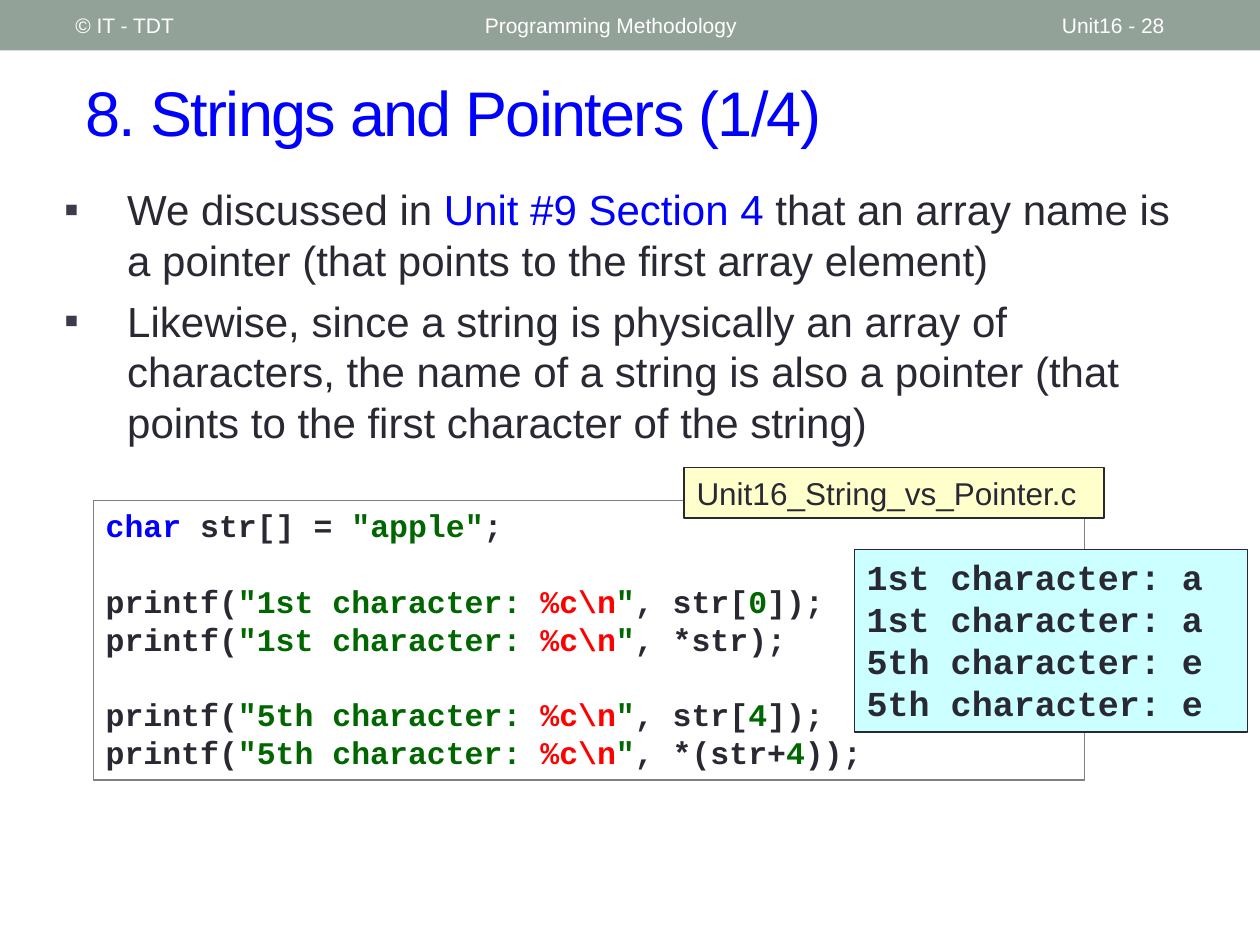
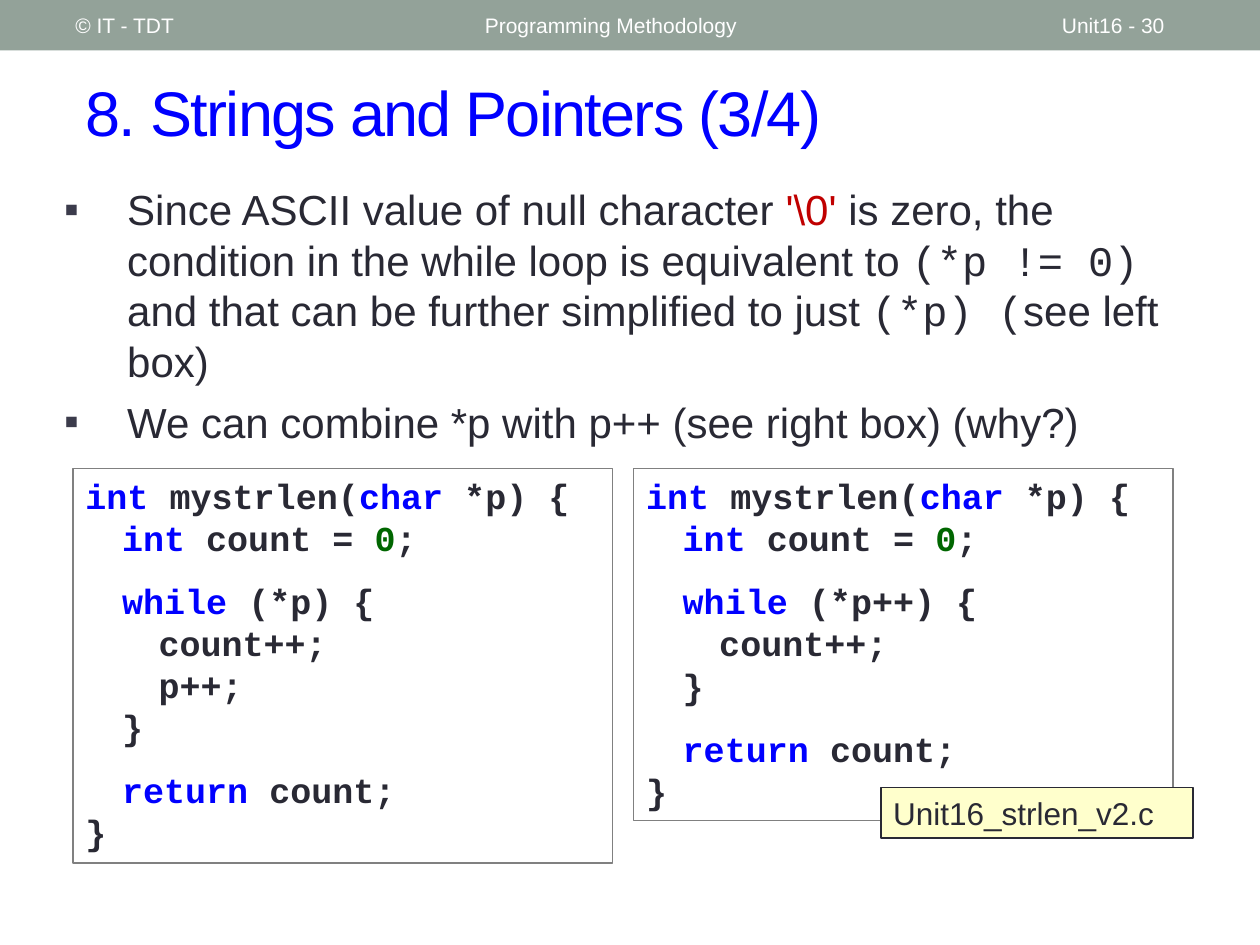
from lxml import etree
from pptx import Presentation
from pptx import util as u
from pptx.dml.color import RGBColor
from pptx.enum import shapes, text
from pptx.oxml.ns import qn

HUES = {
    "ink": "292934", "white": "FFFFFF", "blue": "0000FF", "green": "006600",
    "red": "FF0000", "crimson": "C00000", "band": "93A299", "bullet": "3B3B4B",
    "gray": "808080", "cream": "FFFFCC", "aqua": "CCFFFF",
}
SANS, MONO = "Arial", "Courier New"
WIDE, HIGH = u.Inches(10), u.Inches(7.5)
LEAD = 1.2  # line pitch as a multiple of the text size
TAB = u.Inches(0.29)

HEAD = {"size": 12, "font": SANS, "hue": "white"}
TITLE = {"size": 36, "font": SANS, "hue": "blue"}
BODY = {"size": 24, "font": SANS, "hue": "ink"}
LABEL = {"size": 18, "font": SANS, "hue": "ink"}
CODE = {"size": 18, "font": MONO, "hue": "ink", "bold": True}
BIG = {**CODE, "size": 20}


def rgb(key):
    return RGBColor.from_string(HUES[key])


def area(x, y, w, h):
    """Turn percentages of the slide into a frame."""
    return {
        "left": int(WIDE * x / 100), "top": int(HIGH * y / 100),
        "width": int(WIDE * w / 100), "height": int(HIGH * h / 100),
    }


def apply(obj, vals):
    for name, val in vals.items():
        setattr(obj, name, val)


def add_run(para, part, style):
    """Add plain text, or a (text, changes to the style) pair."""
    words, diff = (part, {}) if isinstance(part, str) else part
    look = {**style, **diff}
    run = para.add_run()
    run.text = words
    apply(run.font, {"size": u.Pt(look["size"]), "name": look["font"],
                     "bold": look.get("bold", False)})
    run.font.color.rgb = rgb(look["hue"])
    return run


def add_para(frame, first, parts, style):
    para = frame.paragraphs[0] if first else frame.add_paragraph()
    apply(para, {"alignment": text.PP_ALIGN.LEFT, "space_before": u.Pt(0),
                 "line_spacing": u.Pt(round(LEAD * style["size"], 1))})
    for part in parts:
        add_run(para, part, style)
    return para


def set_frame(frame, anchor):
    apply(frame, {"word_wrap": True, "vertical_anchor": anchor,
                  "auto_size": text.MSO_AUTO_SIZE.NONE})


def add_box(slide, spot, fill=None, line=None, weight=0.75):
    box = slide.shapes.add_shape(shapes.MSO_SHAPE.RECTANGLE, **area(*spot))
    box.shadow.inherit = False
    if fill:
        box.fill.solid()
        box.fill.fore_color.rgb = rgb(fill)
    else:
        box.fill.background()
    if line:
        box.line.color.rgb = rgb(line)
        box.line.width = u.Pt(weight)
    else:
        box.line.fill.background()
    set_frame(box.text_frame, text.MSO_ANCHOR.TOP)
    return box


def add_code(slide, spot, lines, style, gap):
    """Draw a listing of (depth, parts) lines; None leaves a gap in points."""
    frame = add_box(slide, spot, line="gray").text_frame
    space = 0
    for num, line in enumerate(lines):
        if line is None:
            space = gap
            continue
        depth, parts = line
        para = add_para(frame, num == 0, parts, style)
        para.space_before = u.Pt(space)
        para._p.get_or_add_pPr().set("marL", str(depth * TAB))
        space = 0


def add_label(slide, spot, name):
    box = add_box(slide, spot, "cream", "ink", 1)
    add_para(box.text_frame, True, [name], LABEL)


def add_output(slide, spot, lines):
    box = add_box(slide, spot, "aqua", "ink")
    for num, line in enumerate(lines):
        add_para(box.text_frame, num == 0, [line], BIG)


def add_header(slide, page):
    add_box(slide, (0, 0, 100, 5.33), "band")
    for x, w, words in ((37.5, 45, "Programming Methodology"),
                        (83.3, 11.7, f"Unit16 - {page}"),
                        (5, 31.7, "© IT - TDT")):
        frame = slide.shapes.add_textbox(**area(x, 0.27, w, 4.8)).text_frame
        set_frame(frame, text.MSO_ANCHOR.MIDDLE)
        add_run(frame.paragraphs[0], words, HEAD)


def add_title(slide, words):
    title = slide.shapes.title
    apply(title, area(5.8, 5.6, 91.7, 12.27))
    set_frame(title.text_frame, text.MSO_ANCHOR.MIDDLE)
    para = title.text_frame.paragraphs[0]
    para.alignment = text.PP_ALIGN.LEFT
    run = add_run(para, words, TITLE)
    run._r.get_or_add_rPr().set("spc", "-100")


def add_bullet(para):
    props = para._p.get_or_add_pPr()
    apply_indent = {"marL": u.Inches(0.5), "indent": -u.Inches(0.5)}
    for name, val in apply_indent.items():
        props.set(name, str(val))
    tint = etree.SubElement(props, qn("a:buClr"))
    etree.SubElement(tint, qn("a:srgbClr")).set("val", HUES["bullet"])
    etree.SubElement(props, qn("a:buFont")).set("typeface", SANS)
    etree.SubElement(props, qn("a:buChar")).set("char", "▪")


def add_list(slide, high, items):
    body = slide.placeholders[1]
    apply(body, area(4.1, 18.8, 92.4, high))
    set_frame(body.text_frame, text.MSO_ANCHOR.TOP)
    for num, parts in enumerate(items):
        para = add_para(body.text_frame, num == 0, parts, BODY)
        para.space_before = u.Pt(6)
        add_bullet(para)


def add_page(deck, page, part):
    slide = deck.slides.add_slide(deck.slide_layouts[1])
    add_header(slide, page)
    add_title(slide, f"8. Strings and Pointers ({part}/4)")
    return slide


def blue(words):
    return words, {"hue": "blue"}


def green(words):
    return words, {"hue": "green"}


def mono(words):
    return words, {"font": MONO}


def print_line(nth, *rest):
    return 0, ["printf(", green(f'"{nth} character: '),
               ("%c\\n", {"hue": "red"}), green('"'), *rest]


def strlen_code(test, *steps):
    """Lines of mystrlen with the given loop test and loop body."""
    return [
        (0, [blue("int"), " mystrlen(", blue("char"), " *p) {"]),
        (1, [blue("int "), "count = ", green("0"), ";"]),
        None,
        (1, [blue("while "), f"({test}) {{"]),
        *[(2, [step]) for step in steps],
        (1, ["}"]),
        None,
        (1, [blue("return "), "count;"]),
        (0, ["}"]),
    ]


def array_page(deck):
    slide = add_page(deck, 28, 1)
    add_list(slide, 65.87, [
        ["We discussed in ", blue("Unit #9 Section 4 "),
         "that an array name is a pointer (that points to the first array "
         "element)"],
        ["Likewise, since a string is physically an array of characters, the "
         "name of a string is also a pointer (that points to the first "
         "character of the string)"],
    ])
    add_code(slide, (7.4, 52.93, 78.7, 29.6), [
        (0, [blue("char"), " str[] = ", green('"apple"'), ";"]),
        None,
        print_line("1st", ", str[", green("0"), "]);"),
        print_line("1st", ", *str);"),
        None,
        print_line("5th", ", str[", green("4"), "]);"),
        print_line("5th", ", *(str+", green("4"), "));"),
    ], CODE, LEAD * 18)
    add_label(slide, (54.3, 49.47, 33.3, 5.33), "Unit16_String_vs_Pointer.c")
    add_output(slide, (67.8, 58.13, 31.2, 19.33), [
        f"{nth} character: {char}"
        for nth, char in (("1st", "a"), ("5th", "e")) for _ in range(2)])


def strlen_page(deck):
    slide = add_page(deck, 30, 3)
    add_list(slide, 29.33, [
        ["Since ASCII value of null character ", ("'\\0' ", {"hue": "crimson"}),
         "is zero, the condition in the while loop is equivalent to ",
         mono("(*p != 0) "), "and that can be further simplified to just ",
         mono("(*p) ("), "see left box)"],
        ["We can combine *p with p++ (see right box) (why?)"],
    ])
    boxes = ((41.73, strlen_code("*p", "count++;", "p++;")),
             (37.2, strlen_code("*p++", "count++;")))
    for col, (high, lines) in enumerate(boxes):
        add_code(slide, (5.8 + 44.5 * col, 49.6, 42.8, high), lines, BIG,
                 LEAD * 10)
    add_label(slide, (69.9, 83.33, 24.8, 5.33), "Unit16_strlen_v2.c")


def main():
    deck = Presentation()
    apply(deck, {"slide_width": WIDE, "slide_height": HIGH})
    array_page(deck)
    strlen_page(deck)
    deck.save("out.pptx")


if __name__ == "__main__":
    main()
